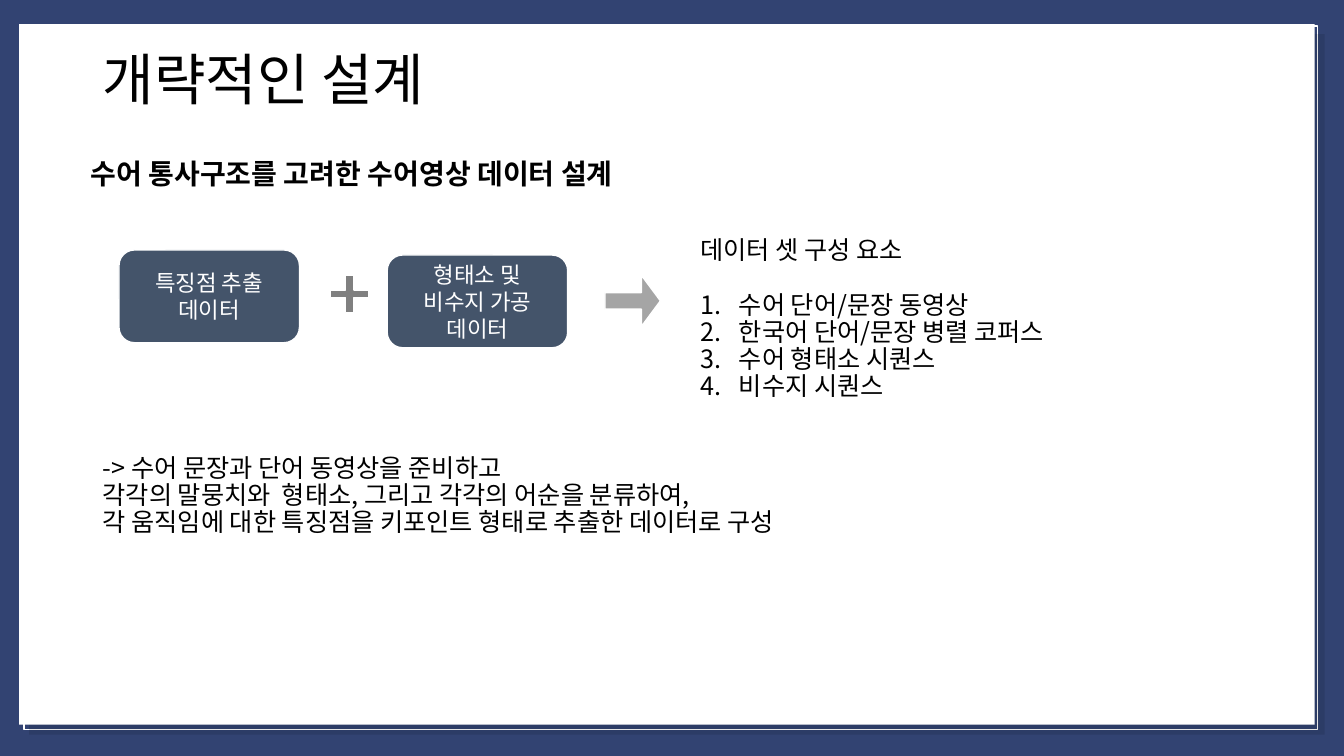
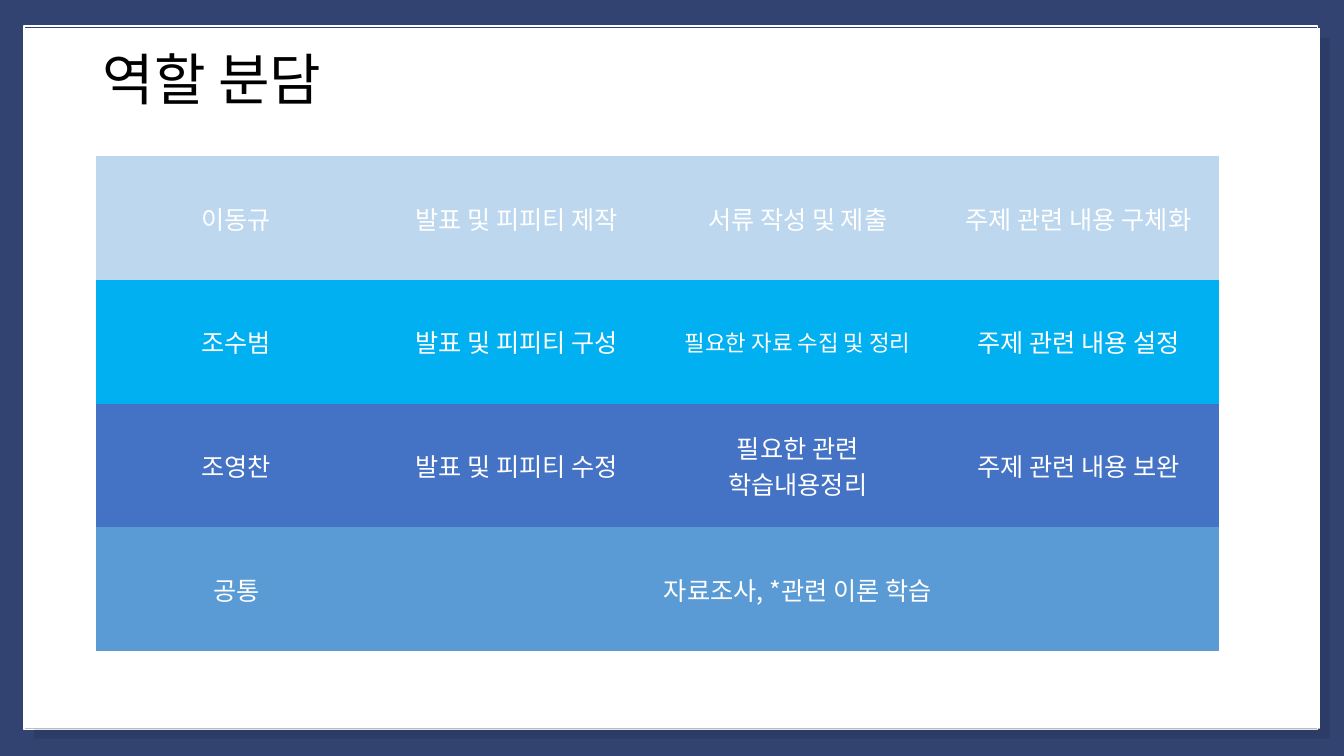
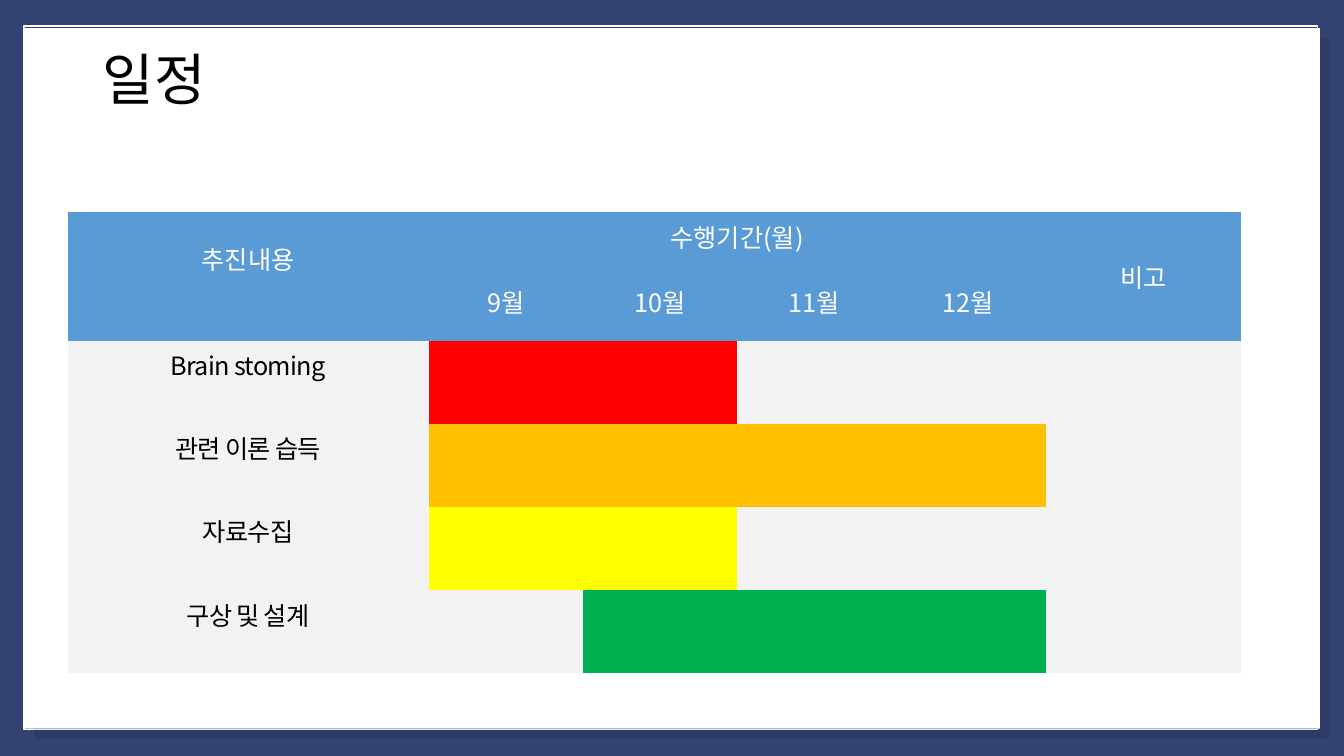
from lxml.etree import SubElement
from pptx import Presentation
from pptx.dml.color import RGBColor
from pptx.enum.shapes import MSO_SHAPE as Preset
from pptx.enum.text import MSO_ANCHOR as Anchor, PP_ALIGN as Align
from pptx.oxml.ns import qn
from pptx.util import Inches, Pt

FONT = "Noto Sans CJK KR"
NO_STYLE = "{2D5ABB26-0587-4C30-8999-92F81FD0307C}"
BLACK = RGBColor(0x00, 0x00, 0x00)
WHITE = RGBColor(0xFF, 0xFF, 0xFF)
NAVY = RGBColor(0x32, 0x43, 0x72)
SLATE = RGBColor(0x44, 0x54, 0x6A)
DARK_GRAY = RGBColor(0x80, 0x80, 0x80)
GRAY = RGBColor(0xA5, 0xA5, 0xA5)
PALE_GRAY = RGBColor(0xF2, 0xF2, 0xF2)
PALE_BLUE = RGBColor(0xBD, 0xD7, 0xEE)
SKY = RGBColor(0x00, 0xB0, 0xF0)
ROYAL = RGBColor(0x44, 0x72, 0xC4)
BLUE = RGBColor(0x5B, 0x9B, 0xD5)
RED = RGBColor(0xFF, 0x00, 0x00)
ORANGE = RGBColor(0xFF, 0xC0, 0x00)
YELLOW = RGBColor(0xFF, 0xFF, 0x00)
GREEN = RGBColor(0x00, 0xB0, 0x50)


def write(frame, lines, size=18, color=BLACK, bold=False, **paragraph_format):
    """Fill a text frame with one paragraph per line and return the paragraphs."""
    frame.word_wrap = True
    for index, line in enumerate(lines):
        paragraph = frame.paragraphs[0] if index == 0 else frame.add_paragraph()
        for name, value in paragraph_format.items():
            setattr(paragraph, name, value)
        run = paragraph.add_run()
        run.text = line
        font = {"name": FONT, "size": Pt(size), "bold": bold}
        for name, value in font.items():
            setattr(run.font, name, value)
        run.font.color.rgb = color
        SubElement(run._r.get_or_add_rPr(), qn("a:ea"), typeface=FONT)
    return frame.paragraphs


def add_box(slide, preset, box, fill=None, line=None):
    """Add a preset shape without shadow, with optional fill and line colours."""
    shape = slide.shapes.add_shape(preset, *map(Inches, box))
    shape.shadow.inherit = False
    if fill is None:
        shape.fill.background()
    else:
        shape.fill.solid()
        shape.fill.fore_color.rgb = fill
    if line is None:
        shape.line.fill.background()
    else:
        shape.line.color.rgb = line
        shape.line.width = Pt(1)
    return shape


presentation = Presentation()
presentation.slide_width = Inches(13.33)
presentation.slide_height = Inches(7.5)
blank = presentation.slide_layouts[6]

# Shared frame, title and white card
slides = []
for title, card_left, card_top in [
    ("개략적인 설계", 0.19, 0.24),
    ("역할 분담", 0.24, 0.28),
    ("일정", 0.24, 0.28),
]:
    slide = presentation.slides.add_slide(blank)
    if not slides:
        backdrop = add_box(slide, Preset.RECTANGLE, (0, 0, 13.33, 7.5), NAVY)
        outline = add_box(slide, Preset.RECTANGLE, (0.24, 0.26, 12.83, 6.98), line=WHITE)
        for shape in (backdrop, outline):
            blank.shapes.element.append(shape.element)
    card = add_box(slide, Preset.RECTANGLE, (card_left, card_top, 12.85, 6.95), WHITE)
    effects = card.element.spPr.find(qn("a:effectLst"))
    shadow = SubElement(effects, qn("a:outerShdw"), dist=str(Pt(10)),
                        dir=str(45 * 60000), algn="tl", rotWithShape="0")
    shadow_color = SubElement(shadow, qn("a:srgbClr"), val="000000")
    SubElement(shadow_color, qn("a:alpha"), val="10000")
    title_box = slide.shapes.add_textbox(*map(Inches, (0.92, 0.47, 11.5, 0.88)))
    write(title_box.text_frame, [title], 40, line_spacing=0.9)
    slides.append(slide)
design, roles, schedule = slides

# Design: data flow and explanation
for left, top, lines in [
    (1.18, 2.48, ["특징점 추출", "데이터"]),
    (3.84, 2.53, ["형태소 및 비수지 가공", "데이터"]),
]:
    block = add_box(design, Preset.ROUNDED_RECTANGLE, (left, top, 1.79, 0.92), SLATE, WHITE)
    block.text_frame.vertical_anchor = Anchor.MIDDLE
    write(block.text_frame, lines, 16, WHITE, alignment=Align.CENTER)

plus = add_box(design, Preset.CROSS, (3.28, 2.73, 0.38, 0.37), DARK_GRAY, WHITE)
plus.adjustments[0] = 0.4
arrow = add_box(design, Preset.RIGHT_ARROW, (6, 2.73, 0.55, 0.51), GRAY, WHITE)
arrow.adjustments[0] = 0.32
arrow.adjustments[1] = 0.37

text_blocks = []
for box, size, bold, lines in [
    ((0.8, 1.54, 11.5, 0.88), 20, True, ["수어 통사구조를 고려한 수어영상 데이터 설계"]),
    ((6.85, 2.31, 4.37, 1.86), 18, False, [
        "데이터 셋 구성 요소",
        "수어 단어/문장 동영상",
        "한국어 단어/문장 병렬 코퍼스",
        "수어 형태소 시퀀스",
        "비수지 시퀀스",
    ]),
    ((0.92, 4.47, 10.79, 1.32), 18, False, [
        "-> 수어 문장과 단어 동영상을 준비하고",
        "각각의 말뭉치와  형태소, 그리고 각각의 어순을 분류하여,",
        "각 움직임에 대한 특징점을 키포인트 형태로 추출한 데이터로 구성",
    ]),
]:
    text_box = design.shapes.add_textbox(*map(Inches, box))
    text_blocks.append(write(text_box.text_frame, lines, size, bold=bold, line_spacing=0.9))

heading, *items = text_blocks[1]
heading.space_after = Pt(19.5)
for item in items:
    properties = item._p.get_or_add_pPr()
    properties.set("marL", str(Inches(0.38)))
    properties.set("indent", str(Inches(-0.38)))
    SubElement(properties, qn("a:buAutoNum"), type="arabicPeriod")

# Both tables: empty grids with fixed column widths and row heights
tables = []
for slide, left, top, widths, heights in [
    (roles, 0.95, 1.55, [11.14 / 4] * 4, [4.91 / 4] * 4),
    (schedule, 0.67, 2.1, [3.58] + [1.53] * 4 + [1.94], [0.5, 0.78] + [3.3 / 4] * 4),
]:
    frame = slide.shapes.add_table(len(heights), len(widths), Inches(left), Inches(top),
                                   Inches(sum(widths)), Inches(sum(heights)))
    table = frame.table
    table.first_row = table.horz_banding = False
    table._tbl.tblPr.find(qn("a:tableStyleId")).text = NO_STYLE
    for column, width in zip(table.columns, widths):
        column.width = Inches(width)
    for row, height in zip(table.rows, heights):
        row.height = Inches(height)
    tables.append(table)
role_table, schedule_table = tables

# Each row: fills by column, then texts by column
role_rows = [
    ([PALE_BLUE] * 4, ["이동규", "발표 및 피피티 제작", "서류 작성 및 제출", "주제 관련 내용 구체화"]),
    ([SKY] * 4, ["조수범", "발표 및 피피티 구성", "필요한 자료 수집 및 정리", "주제 관련 내용 설정"]),
    ([ROYAL] * 4, ["조영찬", "발표 및 피피티 수정", "필요한 관련 학습내용정리", "주제 관련 내용 보완"]),
    ([BLUE] * 4, ["공통", "자료조사, *관련 이론 학습"]),
]
schedule_rows = [
    ([BLUE] * 6, ["추진내용", "수행기간(월)", "", "", "", "비고"]),
    ([BLUE] * 6, ["", "9월", "10월", "11월", "12월"]),
]
for task, color, first, last in [
    ("Brain stoming", RED, 1, 2),
    ("관련 이론 습득", ORANGE, 1, 4),
    ("자료수집", YELLOW, 1, 2),
    ("구상 및 설계", GREEN, 2, 4),
]:
    fills = [color if first <= column <= last else PALE_GRAY for column in range(6)]
    schedule_rows.append((fills, [task]))

for table, rows in [(role_table, role_rows), (schedule_table, schedule_rows)]:
    for row, (fills, texts) in enumerate(rows):
        for column, fill in enumerate(fills):
            cell = table.cell(row, column)
            cell.vertical_anchor = Anchor.MIDDLE
            cell.fill.solid()
            cell.fill.fore_color.rgb = fill
            text = texts[column] if column < len(texts) else ""
            if text:
                size = 16 if text == "필요한 자료 수집 및 정리" else 18
                color = BLACK if fill == PALE_GRAY else WHITE
                write(cell.text_frame, [text], size, color, alignment=Align.CENTER)

for table, start, end in [
    (role_table, (3, 1), (3, 3)),
    (schedule_table, (0, 0), (1, 0)),
    (schedule_table, (0, 1), (0, 4)),
    (schedule_table, (0, 5), (1, 5)),
]:
    table.cell(*start).merge(table.cell(*end))

# Schedule labels sit above the middle of their cells
for row in (0, 2, 3, 4, 5):
    label = schedule_table.cell(row, 0)
    label.margin_bottom = Inches(0.4)
    if row >= 2:
        label.text_frame.paragraphs[0].runs[0]._r.rPr.set("spc", "-50")

presentation.save("out.pptx")
